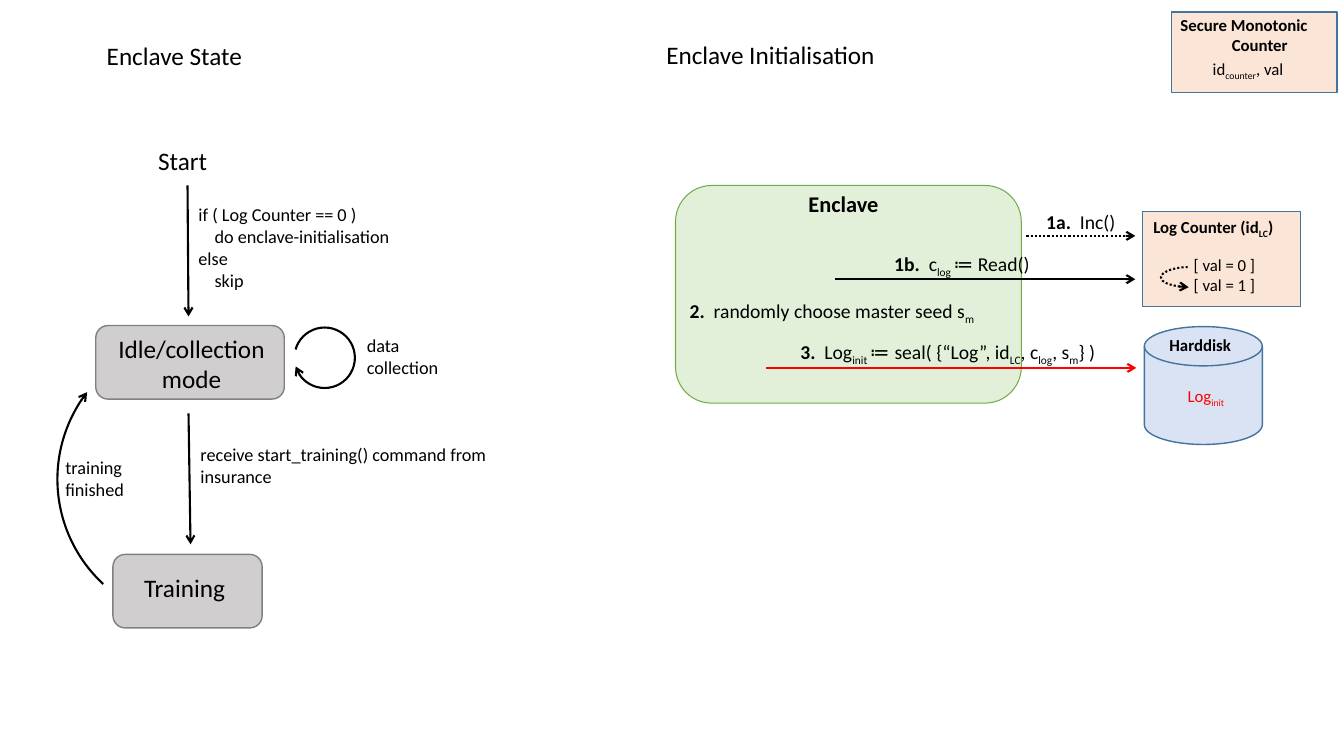
"""Build the slide on enclave states and enclave initialisation."""
from lxml.etree import SubElement
from pptx import Presentation
from pptx.dml.color import RGBColor
from pptx.enum.dml import MSO_LINE
from pptx.enum.shapes import MSO_CONNECTOR, MSO_SHAPE
from pptx.enum.text import MSO_AUTO_SIZE, PP_ALIGN
from pptx.oxml.ns import qn
from pptx.util import Inches, Pt

BLACK = RGBColor(0, 0, 0)
RED = RGBColor(255, 0, 0)
BLUE = RGBColor(0x43, 0x73, 0x9E)
GREEN = RGBColor(0x70, 0xAD, 0x47)
GREY = RGBColor(0x80, 0x80, 0x80)
PALE_BLUE = RGBColor(0xDA, 0xE3, 0xF3)
PALE_GREEN = RGBColor(0xE2, 0xF0, 0xD9)
PALE_GREY = RGBColor(0xD0, 0xCE, 0xCE)
PALE_ORANGE = RGBColor(0xFB, 0xE5, 0xD6)

GRID = 0.1
SUBSCRIPT = -25000
BOLD = {"bold": True}
SUB = {"baseline": SUBSCRIPT}
ROBOTO = {"name": "Roboto"}
HEADING = {"size": 18}
NOTE = {"size": 13}
LABEL = {"size": 12}
STRONG = {"size": 12, "bold": True}
MESSAGE = {"size": 14, "inset": 0}
CENTRED_MESSAGE = {**MESSAGE, "align": PP_ALIGN.CENTER}
CODE_INDENT = 1.6

BOXES = [
    (MSO_SHAPE.ROUNDED_RECTANGLE, (67, 18.4, 34.3, 21.6), PALE_GREEN, GREEN, 0.75),
    (MSO_SHAPE.RECTANGLE, (113.3, 21, 15.7, 9.4), PALE_ORANGE, BLUE, 1),
    (MSO_SHAPE.FLOWCHART_MAGNETIC_DISK, (113.5, 32.4, 11.7, 11.7), PALE_BLUE, BLUE, 1),
    (MSO_SHAPE.ROUNDED_RECTANGLE, (11.2, 55, 14.8, 7.3), PALE_GREY, GREY, 1),
    (MSO_SHAPE.ROUNDED_RECTANGLE, (9.5, 32.3, 18.7, 7.3), PALE_GREY, GREY, 1),
    (MSO_SHAPE.RECTANGLE, (116.2, 1.2, 16.4, 8), PALE_ORANGE, BLUE, 1),
]

TEXTS = [
    ((9.6, 3.5, 26.9, 4), HEADING, [["Enclave State"]]),
    ((65.1, 3.4, 26.9, 4), HEADING, [["Enclave Initialisation"]]),
    ((14.7, 13.9, 10.3, 4), HEADING, [["Start"]]),
    ((9.2, 32.6, 19.6, 7.1), {**HEADING, "align": PP_ALIGN.CENTER},
     [["Idle/collection"], ["mode"]]),
    ((13.3, 56.3, 13.2, 4), HEADING, [["Training"]]),
    ((18.7, 19.7, 26.9, 9.7), {**NOTE, "indents": {1: CODE_INDENT, 3: CODE_INDENT}},
     [["if ( Log Counter == 0 )"], ["do enclave-initialisation"], ["else"], ["skip"]]),
    ((18.9, 43.5, 31.6, 5.4), NOTE, [["receive start_training() command from insurance"]]),
    ((5.5, 44.8, 8.7, 5.4), NOTE, [["training"], ["finished"]]),
    ((35.4, 32.7, 12, 5.4), NOTE, [["data"], ["collection"]]),
    ((79.2, 18.4, 12.6, 3.7), {"size": 16, "bold": True}, [["Enclave"]]),
    ((99.3, 20.8, 15.8, 2.4), CENTRED_MESSAGE, [[("1a.", BOLD), "  Inc()"]]),
    ((86.8, 25, 17.2, 2.4), CENTRED_MESSAGE,
     [[("1b.", BOLD), "  c", ("log ", SUB), ("≔", ROBOTO), " Read()"]]),
    ((68.4, 29.7, 31.6, 2.4), MESSAGE,
     [[("2.", BOLD), "  randomly choose master seed s", ("m", SUB)]]),
    ((76.2, 33.7, 35.6, 2.4), CENTRED_MESSAGE,
     [[("3.", BOLD), "  Log", ("init ", SUB), ("≔ ", ROBOTO), "seal( {“Log”, id",
       ("LC", SUB), ", c", ("log", SUB), ", s", ("m", SUB), "} )"]]),
    ((113.4, 21, 16.1, 3), STRONG, [["Log Counter (id", ("LC", SUB), ")"]]),
    ((117.4, 24.8, 16.4, 3), LABEL, [["[ val = 0 ]"]]),
    ((117.4, 26.8, 16.4, 3), LABEL, [["[ val = 1 ]"]]),
    ((115, 32.7, 9.9, 3), STRONG, [["Harddisk"]]),
    ((116.8, 37.8, 7.1, 3), {**LABEL, "color": RED}, [["Log", ("init", SUB)]]),
    ((116.1, 1, 17.7, 5), {**STRONG, "aligns": {1: PP_ALIGN.CENTER}},
     [["Secure Monotonic"], ["Counter"]]),
    ((119.3, 5.3, 16.4, 3), LABEL, [["id", ("counter", SUB), ", val"]]),
]

ARROWS = [
    ((18.6, 18.4, 18.7, 31.4), BLACK, None),
    ((18.7, 41, 18.9, 54), BLACK, None),
    ((101.8, 23.4, 112.6, 23.4), BLACK, MSO_LINE.ROUND_DOT),
    ((82.8, 27.7, 112.6, 27.7), BLACK, None),
    ((76, 36.5, 112.7, 36.5), RED, None),
]
VALUE_CURVE = (117.8, 26.5, 117.9, 28.5)
CURVE_BULGE = -27

LOOPS = [
    ((29.2, 32.5, 6, 6), (195.87, 163.36)),
    ((5.7, 33.4, 28.3, 28.3), (132.74, 217.61)),
]
ARC_UNITS_PER_DEGREE = 0.6


def grid(lengths):
    """Turn grid units into slide lengths."""
    return [Inches(length * GRID) for length in lengths]


def style_line(line, color, width, dash=None):
    """Set colour, width and dash of a line."""
    line.color.rgb = color
    line.width = Pt(width)
    if dash:
        line.dash_style = dash


def add_arrowhead(shape):
    """Put an open arrowhead at the end of the line."""
    SubElement(shape.line._get_or_add_ln(), qn("a:tailEnd"), type="arrow")


def add_box(shapes, kind, place, fill, color, width):
    """Add a filled shape with an outline."""
    shape = shapes.add_shape(kind, *grid(place))
    shape.shadow.inherit = False
    shape.fill.solid()
    shape.fill.fore_color.rgb = fill
    style_line(shape.line, color, width)


def add_run(paragraph, piece, style):
    """Add one run, given as plain words or as words with a format."""
    words, extra = piece if isinstance(piece, tuple) else (piece, {})
    run = paragraph.add_run()
    run.text = words
    values = {"name": "Calibri", "size": Pt(style["size"]),
              "bold": style.get("bold", False)}
    values.update({key: value for key, value in extra.items() if key != "baseline"})
    for key, value in values.items():
        setattr(run.font, key, value)
    run.font.color.rgb = style.get("color", BLACK)
    if "baseline" in extra:
        run._r.get_or_add_rPr().set("baseline", str(extra["baseline"]))


def add_text(shapes, place, style, lines):
    """Add a text box with one paragraph a line."""
    frame = shapes.add_textbox(*grid(place)).text_frame
    frame.word_wrap = True
    frame.auto_size = MSO_AUTO_SIZE.SHAPE_TO_FIT_TEXT
    if "inset" in style:
        for side in ("left", "top", "right", "bottom"):
            setattr(frame, f"margin_{side}", style["inset"])
    for index, pieces in enumerate(lines):
        paragraph = frame.add_paragraph() if index else frame.paragraphs[0]
        paragraph.alignment = style.get("aligns", {}).get(index, style.get("align"))
        indent = style.get("indents", {}).get(index)
        if indent:
            paragraph._p.get_or_add_pPr().set("marL", str(Inches(indent * GRID)))
        for piece in pieces:
            add_run(paragraph, piece, style)


def add_arrow(shapes, ends, color, dash, kind=MSO_CONNECTOR.STRAIGHT):
    """Add a connector with an arrowhead."""
    arrow = shapes.add_connector(kind, *grid(ends))
    style_line(arrow.line, color, 1.5, dash)
    add_arrowhead(arrow)
    SubElement(arrow._element.spPr, qn("a:effectLst"))
    return arrow


def add_loop(shapes, place, angles):
    """Add a clockwise arc with an arrowhead."""
    loop = shapes.add_shape(MSO_SHAPE.ARC, *grid(place))
    loop.shadow.inherit = False
    for index, angle in enumerate(angles):
        loop.adjustments[index] = angle * ARC_UNITS_PER_DEGREE
    loop.fill.background()
    style_line(loop.line, BLACK, 1.5)
    add_arrowhead(loop)


presentation = Presentation()
presentation.slide_width = Inches(13.33)
presentation.slide_height = Inches(7.5)
slide = presentation.slides.add_slide(presentation.slide_layouts[6])
for box in BOXES:
    add_box(slide.shapes, *box)
for text in TEXTS:
    add_text(slide.shapes, *text)
for arrow_values in ARROWS:
    add_arrow(slide.shapes, *arrow_values)
curve = add_arrow(slide.shapes, VALUE_CURVE, BLACK, MSO_LINE.ROUND_DOT, MSO_CONNECTOR.CURVE)
guides = curve._element.spPr.prstGeom.get_or_add_avLst()
SubElement(guides, qn("a:gd"), name="adj1", fmla=f"val {CURVE_BULGE * 100000}")
for loop_values in LOOPS:
    add_loop(slide.shapes, *loop_values)
presentation.save("out.pptx")
